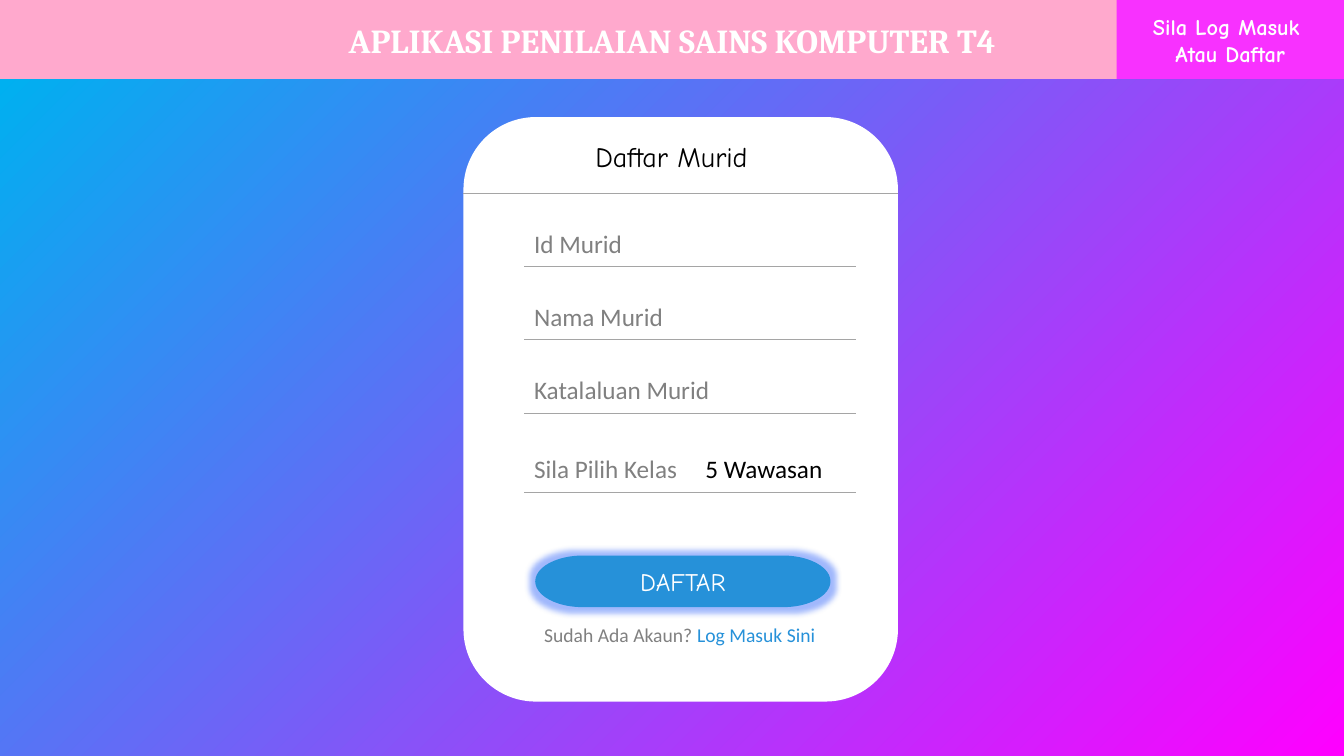
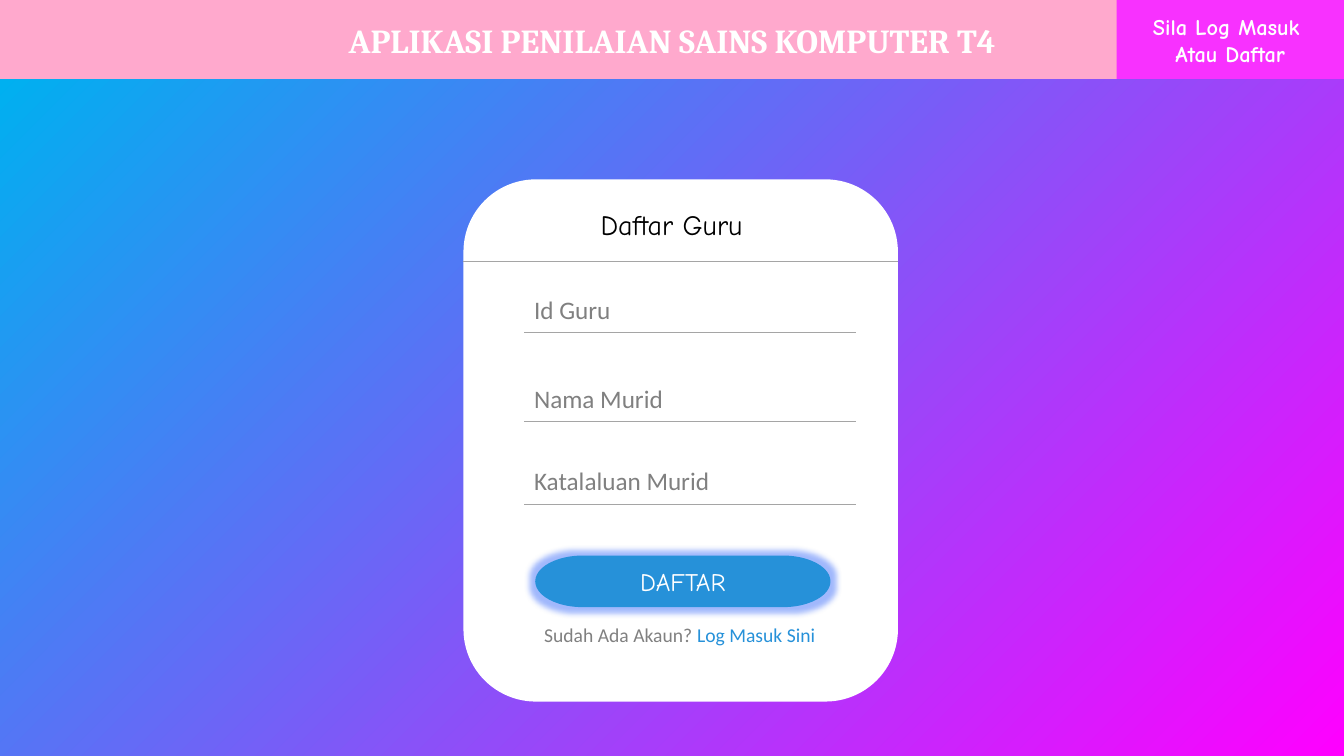
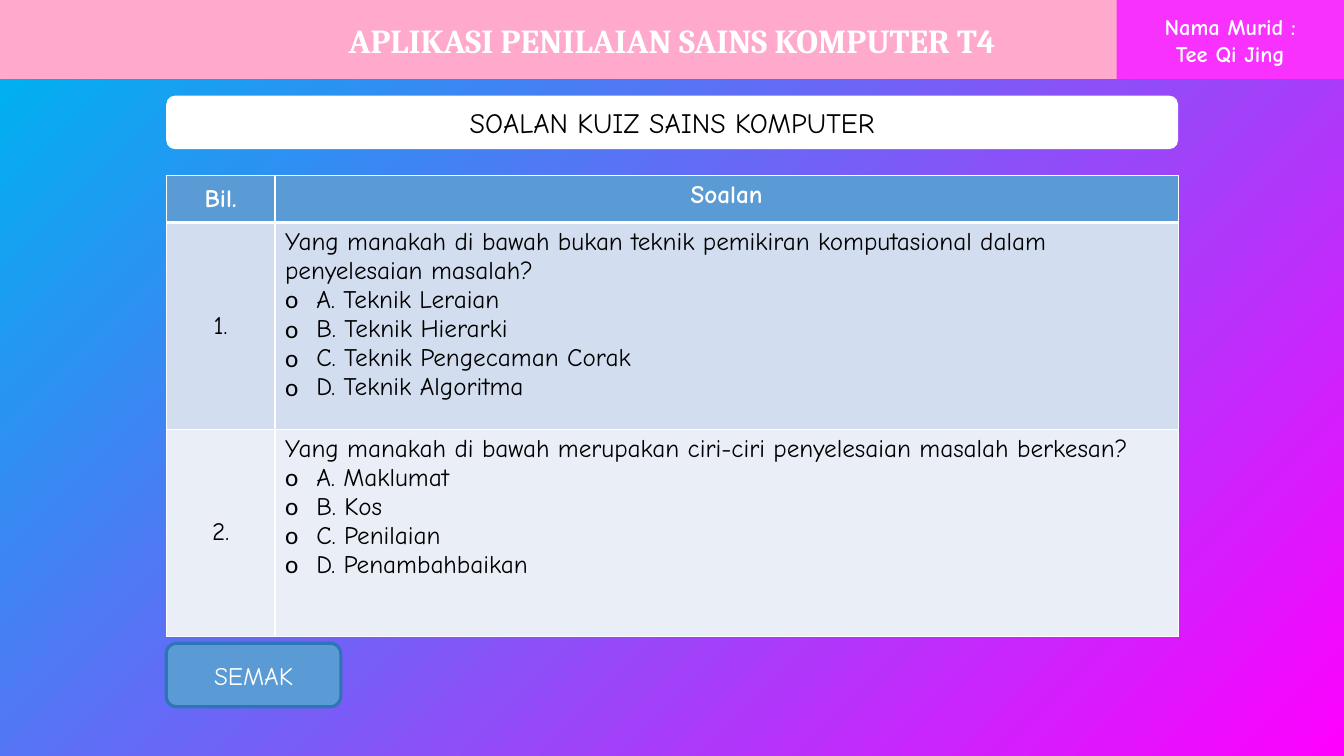
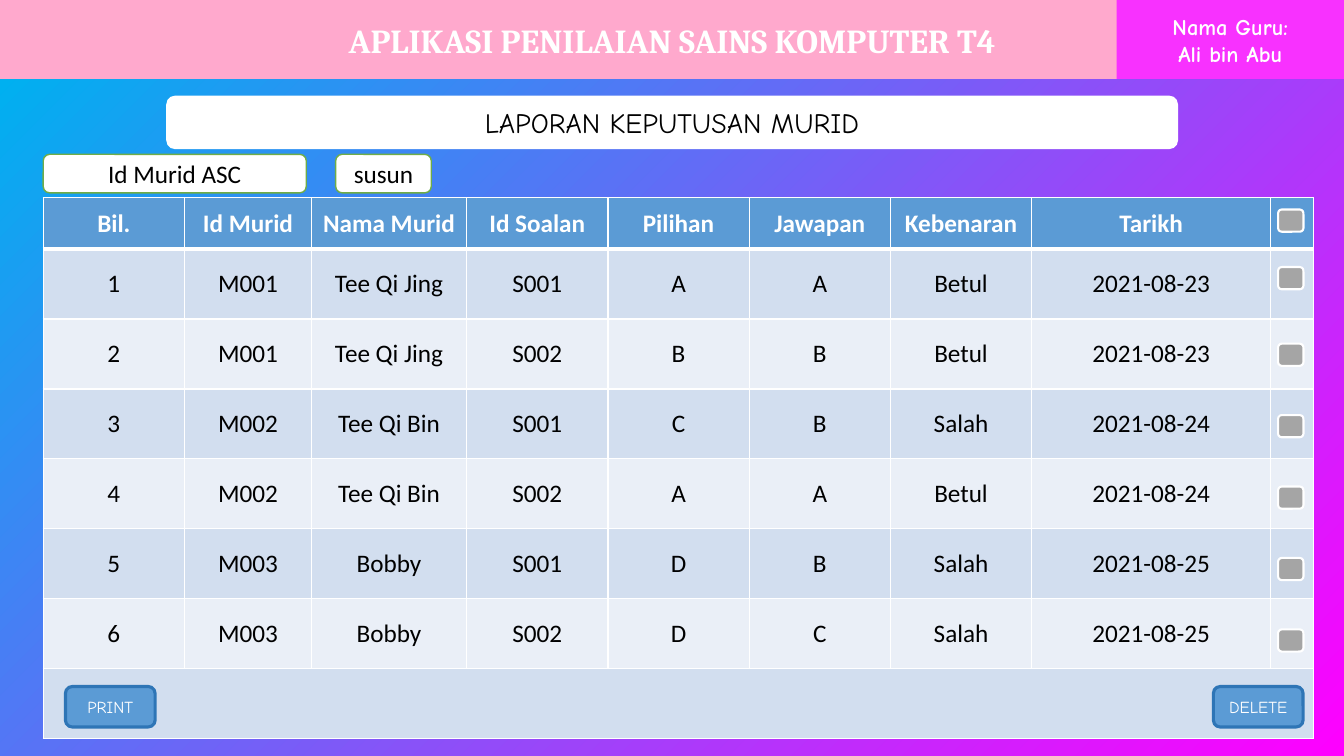
"""Build the four screens of a computer science assessment app."""
import pptx
import pptx.dml.color
import pptx.enum.shapes
import pptx.enum.text
import pptx.oxml
import pptx.oxml.ns
import pptx.util
import lxml.etree

Cm = pptx.util.Cm
Pt = pptx.util.Pt
RGB = pptx.dml.color.RGBColor.from_string
SHAPE = pptx.enum.shapes.MSO_SHAPE
ALIGN = pptx.enum.text.PP_ALIGN
MIDDLE = pptx.enum.text.MSO_ANCHOR.MIDDLE
TOP = pptx.enum.text.MSO_ANCHOR.TOP
qn = pptx.oxml.ns.qn

COLOURS = {
    "white": "FFFFFF", "black": "000000", "grey": "808080", "rule": "A5A5A5",
    "band": "FFA9CD", "badge": "F831FF", "magenta": "FF00FF", "cyan": "00B0F0",
    "action": "2691D9", "glow": "2E62FA", "blue": "5B9BD5", "edge": "2E75B6",
    "green": "70AD47", "odd": "D2DEEF", "even": "EAEFF7",
}
STYLES = {
    "title": {"name": "Cambria", "size": Pt(24), "bold": True},
    "badge": {"name": "Comic Neue", "size": Pt(16), "bold": True},
    "heading": {"name": "Comic Neue", "size": Pt(20), "bold": False},
    "button": {"name": "Comic Neue", "size": Pt(18), "bold": False},
    "small button": {"name": "Comic Neue", "size": Pt(12), "bold": False},
    "field": {"name": "Calibri", "size": Pt(18), "bold": False},
    "hint": {"name": "Calibri", "size": Pt(14), "bold": False},
    "quiz head": {"name": "Comic Neue", "size": Pt(18), "bold": True},
    "report head": {"name": "Calibri", "size": Pt(18), "bold": True},
}


def dress(frame, style, ink, align=ALIGN.CENTER):
    """Format every paragraph and run of a text frame."""
    frame.word_wrap = True
    for paragraph in frame.paragraphs:
        paragraph.alignment = align
        for run in paragraph.runs:
            for attribute, value in STYLES[style].items():
                setattr(run.font, attribute, value)
            run.font.color.rgb = RGB(COLOURS[ink])


def add_box(slide, kind, place, fill, edge=None, width=1, text="", style="button", ink="white"):
    """Add a flat preset shape with centred text."""
    box = slide.shapes.add_shape(kind, *map(Cm, place))
    box.shadow.inherit = False
    box.fill.solid()
    box.fill.fore_color.rgb = RGB(COLOURS[fill])
    if edge:
        box.line.color.rgb = RGB(COLOURS[edge])
        box.line.width = Pt(width)
    else:
        box.line.fill.background()
    box.text_frame.text = text
    box.text_frame.vertical_anchor = MIDDLE
    dress(box.text_frame, style, ink)
    return box


deck = pptx.Presentation()
deck.slide_width, deck.slide_height = Cm(33.87), Cm(19.05)
band_height = 2

screens = []
for badge in ("Sila Log Masuk \nAtau Daftar", "Sila Log Masuk \nAtau Daftar",
              "Nama Murid :\nTee Qi Jing", "Nama Guru:\nAli bin Abu"):
    slide = deck.slides.add_slide(deck.slide_layouts[5])
    title = slide.shapes.title
    title.left, title.top, title.width, title.height = map(Cm, (0, 0, 33.87, band_height))
    title.fill.solid()
    title.fill.fore_color.rgb = RGB(COLOURS["band"])
    title.text_frame.text = "APLIKASI PENILAIAN SAINS KOMPUTER T4"
    title.text_frame.vertical_anchor = MIDDLE
    dress(title.text_frame, "title", "white")
    add_box(slide, SHAPE.RECTANGLE, (28.14, 0, 5.73, band_height), "badge", text=badge, style="badge")
    backdrop = add_box(slide, SHAPE.RECTANGLE, (0, band_height, 33.87, 19.05 - band_height), "cyan")
    backdrop.fill.gradient()
    backdrop.fill.gradient_angle = 135
    for stop, colour in zip(backdrop.fill.gradient_stops, ("magenta", "cyan")):
        stop.color.rgb = RGB(COLOURS[colour])
    screens.append(slide)
pupil_form, teacher_form, quiz, report = screens

card_left, card_right, card_bottom = 11.68, 22.63, 17.68
field_left, field_right = 13.21, 21.56
forms = [
    (pupil_form, "Daftar Murid", 2.95, 3.4, 4.86,
     {"Id Murid": 6.71, "Nama Murid": 8.56, "Katalaluan Murid": 10.41, "Sila Pilih Kelas": 12.4}),
    (teacher_form, "Daftar Guru", 4.52, 5.11, 6.58,
     {"Id Guru": 8.38, "Nama Murid": 10.62, "Katalaluan Murid": 12.7}),
]
for slide, heading, card_top, heading_top, divider, fields in forms:
    add_box(slide, SHAPE.ROUNDED_RECTANGLE,
            (card_left, card_top, card_right - card_left, card_bottom - card_top), "white")
    rules = [(card_left, card_right, divider)]
    labels = [(heading, 13.84, heading_top, 6.17, "heading", "black", ALIGN.CENTER),
              ("Sudah Ada Akaun? ", 13.41, 15.57, 7.44, "hint", "grey", ALIGN.CENTER)]
    for field, baseline in fields.items():
        rules.append((field_left, field_right, baseline))
        labels.append((field, field_left, baseline - 1.09, 6.27, "field", "grey", ALIGN.LEFT))
    if slide is pupil_form:
        labels.append(("5 Wawasan", 17.53, fields["Sila Pilih Kelas"] - 1.09, 4.03,
                       "field", "black", ALIGN.LEFT))
    for start, end, y in rules:
        rule = slide.shapes.add_connector(pptx.enum.shapes.MSO_CONNECTOR.STRAIGHT,
                                          Cm(start), Cm(y), Cm(end), Cm(y))
        rule.line.color.rgb = RGB(COLOURS["rule"])
        rule.line.width = Pt(0.5)
        lxml.etree.SubElement(rule._element.spPr, qn("a:effectLst"))
    for text, left, top, width, style, ink, align in labels:
        label = slide.shapes.add_textbox(Cm(left), Cm(top), Cm(width), Cm(1.02))
        label.text_frame.text = text
        if style == "hint":
            login = label.text_frame.paragraphs[0].add_run()
            login.text = "Log Masuk Sini "
        dress(label.text_frame, style, ink, align)
        if style == "hint":
            login.font.color.rgb = RGB(COLOURS["action"])
    register = add_box(slide, SHAPE.FLOWCHART_TERMINATOR, (13.49, 14, 7.44, 1.3), "action", text="DAFTAR")
    glow = lxml.etree.SubElement(register._element.spPr.find(qn("a:effectLst")), qn("a:glow"), rad="101600")
    tint = lxml.etree.SubElement(glow, qn("a:srgbClr"), val=COLOURS["glow"])
    lxml.etree.SubElement(tint, qn("a:alpha"), val="45000")

for slide, heading in ((quiz, "SOALAN KUIZ SAINS KOMPUTER"), (report, "LAPORAN KEPUTUSAN MURID")):
    add_box(slide, SHAPE.ROUNDED_RECTANGLE, (4.19, 2.41, 25.5, 1.35), "white",
            text=heading, style="heading", ink="black")

questions = [
    ("Bil.", "Soalan"),
    ("1.", "Yang manakah di bawah bukan teknik pemikiran komputasional dalam penyelesaian masalah?\n"
           "A. Teknik Leraian\nB. Teknik Hierarki\nC. Teknik Pengecaman Corak\nD. Teknik Algoritma"),
    ("2.", "Yang manakah di bawah merupakan ciri-ciri penyelesaian masalah berkesan?\n"
           "A. Maklumat\nB. Kos\nC. Penilaian\nD. Penambahbaikan"),
]
results = [
    ("Bil.", "Id Murid", "Nama Murid", "Id Soalan", "Pilihan", "Jawapan", "Kebenaran", "Tarikh", ""),
    ("1", "M001", "Tee Qi Jing", "S001", "A", "A", "Betul", "2021-08-23", ""),
    ("2", "M001", "Tee Qi Jing", "S002", "B", "B", "Betul", "2021-08-23", ""),
    ("3", "M002", "Tee Qi Bin", "S001", "C", "B", "Salah", "2021-08-24", ""),
    ("4", "M002", "Tee Qi Bin", "S002", "A", "A", "Betul", "2021-08-24", ""),
    ("5", "M003", "Bobby", "S001", "D", "B", "Salah", "2021-08-25", ""),
    ("6", "M003", "Bobby", "S002", "D", "C", "Salah", "2021-08-25", ""),
    ("",) * 9,
]
grids = [
    (quiz, questions, 4.19, 4.42, [2.74, 22.76], 1.19, 5.21, "quiz head", "button"),
    (report, results, 1.09, 4.98, [3.56, 3.2, 3.91] + [3.56] * 4 + [6.02, 1.09],
     1.3, 1.76, "report head", "field"),
]
for slide, rows, left, top, widths, head_height, row_height, head_style, body_style in grids:
    heights = [head_height] + [row_height] * (len(rows) - 1)
    grid = slide.shapes.add_table(len(rows), len(widths), Cm(left), Cm(top),
                                  Cm(sum(widths)), Cm(sum(heights))).table
    grid.horz_banding = False
    for column, width in zip(grid.columns, widths):
        column.width = Cm(width)
    for r, (entries, height) in enumerate(zip(rows, heights)):
        grid.rows[r].height = Cm(height)
        for c, entry in enumerate(entries):
            cell = grid.cell(r, c)
            in_question = slide is quiz and c == 1
            cell.text = entry
            cell.vertical_anchor = TOP if in_question else MIDDLE
            dress(cell.text_frame, body_style if r else head_style, "black" if r else "white",
                  ALIGN.LEFT if in_question and r else ALIGN.CENTER)
            for choice in cell.text_frame.paragraphs[1:]:
                layout = choice._p.get_or_add_pPr()
                layout.set("marL", str(Cm(0.79)))
                layout.set("indent", str(-Cm(0.79)))
                lxml.etree.SubElement(layout, qn("a:buFont"), typeface="Calibri")
                lxml.etree.SubElement(layout, qn("a:buChar"), char="o")
            borders = cell._tc.get_or_add_tcPr()
            for side in ("L", "R", "T", "B"):
                thick = (side == "B" and r == 0) or (side == "T" and r == 1)
                border = lxml.etree.SubElement(borders, qn("a:ln" + side), w=str(Pt(3 if thick else 1)))
                paint = lxml.etree.SubElement(border, qn("a:solidFill"))
                lxml.etree.SubElement(paint, qn("a:srgbClr"), val=COLOURS["white"])
            cell.fill.solid()
            cell.fill.fore_color.rgb = RGB(COLOURS[("even", "odd")[r % 2] if r else "blue"])
    if slide is report:
        grid.cell(len(rows) - 1, 0).merge(grid.cell(len(rows) - 1, len(widths) - 1))

for slide, action, place, style in (
        (quiz, "SEMAK", (4.19, 16.21, 4.4, 1.6), "button"),
        (report, "PRINT", (1.65, 17.3, 2.26, 1.02), "small button"),
        (report, "DELETE", (30.58, 17.3, 2.26, 1.02), "small button")):
    add_box(slide, SHAPE.ROUNDED_RECTANGLE, place, "blue", "edge", 2.25, action, style)

for tick_top in [5.28, 6.73] + [8.66 + 1.8 * step for step in range(5)]:
    add_box(report, SHAPE.ROUNDED_RECTANGLE, (32.21, tick_top, 0.64, 0.56), "rule", "white", 1.5)

for control, left, width in (("Id Murid ASC", 1.09, 6.63), ("susun", 8.46, 2.41)):
    add_box(report, SHAPE.ROUNDED_RECTANGLE, (left, 3.89, width, 0.97), "white", "green", 1,
            control, "field", "black")

deck.save("out.pptx")
